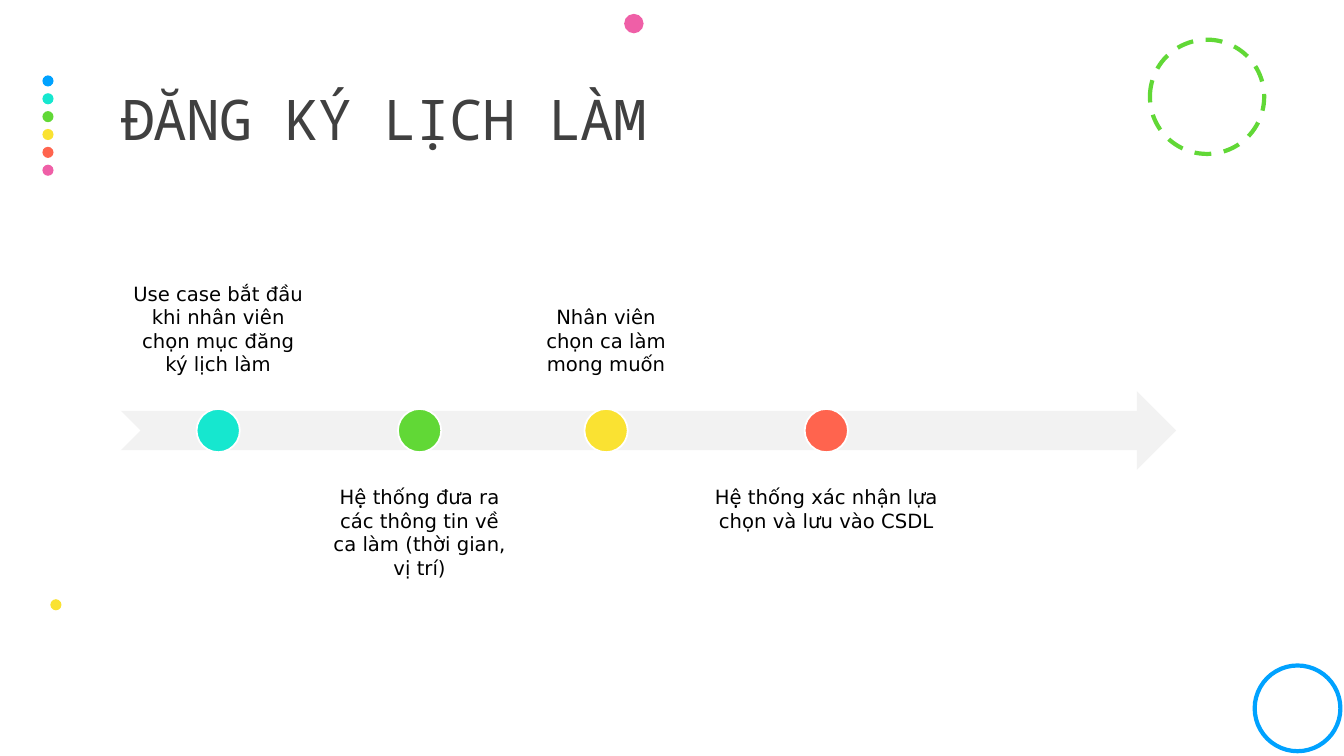
"""Build the shift registration timeline slide."""
import pptx
import pptx.dml.color
import pptx.enum.dml
import pptx.enum.shapes
import pptx.enum.text
import pptx.util

Cm = pptx.util.Cm
Pt = pptx.util.Pt
SHAPES = pptx.enum.shapes.MSO_SHAPE
ANCHOR = pptx.enum.text.MSO_ANCHOR
ALIGN = pptx.enum.text.PP_ALIGN

COLOURS = {
    "blue": "00A2FF",
    "teal": "16E7CF",
    "green": "61D836",
    "yellow": "FAE232",
    "coral": "FF644E",
    "pink": "EF5FA7",
    "grey": "F2F2F2",
    "white": "FFFFFF",
    "title": "404040",
    "black": "000000",
}
RAINBOW = ["blue", "teal", "green", "yellow", "coral", "pink"]
STEPS = [
    (3.05, 4.9, "teal", "Use case bắt đầu khi nhân viên chọn mục đăng ký lịch làm"),
    (8.1, 4.95, "green", "Hệ thống đưa ra các thông tin về ca làm (thời gian, vị trí)"),
    (13.18, 4.19, "yellow", "Nhân viên chọn ca làm mong muốn"),
    (17.5, 6.65, "coral", "Hệ thống xác nhận lựa chọn và lưu vào CSDL"),
]
MARKER = 1.09
ARROW_TOP = 9.86
ARROW_HEIGHT = 1.98


def colour(name):
    return pptx.dml.color.RGBColor.from_string(COLOURS[name])


def add_figure(page, kind, left, top, width, height, fill=None, line=None, weight=3, dash=None):
    shape = page.shapes.add_shape(kind, Cm(left), Cm(top), Cm(width), Cm(height))
    shape.shadow.inherit = False
    if fill:
        shape.fill.solid()
        shape.fill.fore_color.rgb = colour(fill)
    else:
        shape.fill.background()
    if line:
        shape.line.color.rgb = colour(line)
        shape.line.width = Pt(weight)
        if dash:
            shape.line.dash_style = dash
    else:
        shape.line.fill.background()
    return shape


def add_circle(page, left, top, size, **style):
    return add_figure(page, SHAPES.OVAL, left, top, size, size, **style)


def write_text(box, text, font="DejaVu Sans", size=14, ink="black", align=ALIGN.CENTER,
               anchor=ANCHOR.TOP, inset=(0.28, 0.28), line_spacing=1.0, tracking=None):
    frame = box.text_frame
    frame.word_wrap = True
    frame.auto_size = pptx.enum.text.MSO_AUTO_SIZE.NONE
    frame.vertical_anchor = anchor
    frame.margin_left = frame.margin_right = Cm(inset[0])
    frame.margin_top = frame.margin_bottom = Cm(inset[1])
    para = frame.paragraphs[0]
    para.alignment = align
    para.line_spacing = line_spacing
    span = para.add_run()
    span.text = text
    span.font.name = font
    span.font.size = Pt(size)
    span.font.color.rgb = colour(ink)
    if tracking is not None:
        span.font._element.set("spc", str(round(tracking * 100)))


def add_title(page, text):
    title = page.shapes.title
    title.left, title.top, title.width, title.height = Cm(3.05), Cm(1.17), Cm(27.94), Cm(3.81)
    write_text(title, text, font="Noto Sans Mono", size=40, ink="title", align=ALIGN.LEFT,
               anchor=ANCHOR.MIDDLE, inset=(0, 0.13), line_spacing=0.9, tracking=-0.5)


def add_decoration(page):
    for index, name in enumerate(RAINBOW):
        add_circle(page, 1.07, 1.9 + 0.45 * index, 0.28, fill=name)
    add_circle(page, 28.98, 1, 2.88, line="green", dash=pptx.enum.dml.MSO_LINE.DASH)
    add_circle(page, 1.27, 15.1, 0.28, fill="yellow")
    add_circle(page, 15.73, 0.35, 0.49, fill="pink")
    add_circle(page, 31.62, 16.77, 2.16, line="blue")


def add_step(page, left, width, fill, text, above):
    top, anchor = (5.38, ANCHOR.BOTTOM) if above else (11.94, ANCHOR.TOP)
    box = page.shapes.add_textbox(Cm(left), Cm(top), Cm(width), Cm(4.37))
    write_text(box, text, anchor=anchor)
    add_circle(page, left + (width - MARKER) / 2, ARROW_TOP + (ARROW_HEIGHT - MARKER) / 2,
               MARKER, fill=fill, line="white", weight=1.25)


def main():
    deck = pptx.Presentation()
    deck.slide_width, deck.slide_height = Cm(33.87), Cm(19.05)
    page = deck.slides.add_slide(deck.slide_layouts.get_by_name("Title Only"))
    add_decoration(page)
    add_title(page, "ĐĂNG KÝ LỊCH LÀM")
    add_figure(page, SHAPES.NOTCHED_RIGHT_ARROW, 3.05, ARROW_TOP, 26.59, ARROW_HEIGHT, fill="grey")
    for index, step in enumerate(STEPS):
        add_step(page, *step, above=index % 2 == 0)
    deck.save("out.pptx")


if __name__ == "__main__":
    main()
